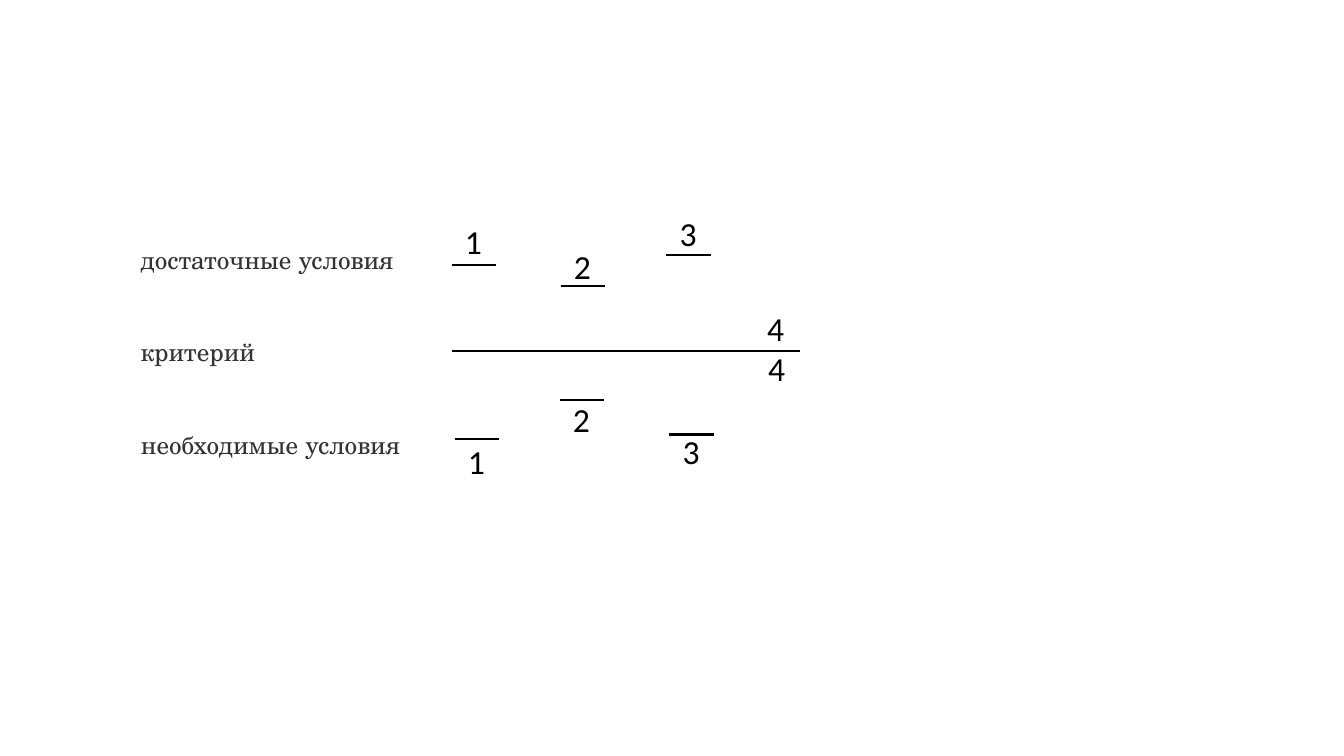
from pptx import Presentation as Deck
from pptx.dml.color import RGBColor as Rgb
from pptx.enum.shapes import MSO_CONNECTOR as Link
from pptx.enum.text import MSO_AUTO_SIZE as Fit
from pptx.util import Inches, Pt
from lxml.etree import SubElement as Sub

WIDE, HIGH = Inches(13.33), Inches(7.5)
HUES = {"ink": "000000", "label": "333333"}
DIGIT = {"name": "Calibri", "size": Pt(24)}
LABEL = {"name": "TeX Gyre Schola", "size": Pt(18)}
FRAME = {"word_wrap": False, "auto_size": Fit.SHAPE_TO_FIT_TEXT}
NS = "{http://schemas.openxmlformats.org/drawingml/2006/main}"

# All lengths are percent of the slide's width (x) or height (y)
DASH = 3.3
INSET = 0.24
CELL = (2.78, 6.67)

# Condition: number, dash left, dash height, number top
MARKS = [
    ("2", 41.64, 52.93, 52.13),
    ("3", 49.59, 33.73, 27.47),
    ("3", 49.81, 57.47, 56.4),
    ("1", 33.83, 58.13, 57.6),
    ("2", 41.71, 37.87, 31.87),
    ("1", 33.61, 35.07, 28.53),
]
ROWS = [
    ("достаточные условия", 20.63),
    ("критерий", 10.2),
    ("необходимые условия", 21.31),
]


def across(share):
    return round(WIDE * share / 100)


def down(share):
    return round(HIGH * share / 100)


def apply(item, style):
    for key, value in style.items():
        setattr(item, key, value)


def rule(shapes, x, y, width):
    line = shapes.add_connector(
        Link.STRAIGHT, across(x), down(y), across(x + width), down(y))
    line.line.color.rgb = Rgb.from_string(HUES["ink"])
    line.line.width = Pt(1.5)
    Sub(line._element.spPr, NS + "effectLst")


def text(shapes, words, x, y, width, height, style, hue):
    box = shapes.add_textbox(across(x), down(y), across(width), down(height))
    apply(box.text_frame, FRAME)
    run = box.text_frame.paragraphs[0].add_run()
    run.text = words
    apply(run.font, style)
    run.font.color.rgb = Rgb.from_string(HUES[hue])


def mark(shapes, digit, x, y, top):
    group = shapes.add_group_shape().shapes
    rule(group, x, y, DASH)
    text(group, digit, x + INSET, top, *CELL, DIGIT, "ink")


def main():
    deck = Deck()
    deck.slide_width, deck.slide_height = WIDE, HIGH
    shapes = deck.slides.add_slide(deck.slide_layouts[6]).shapes

    # Criterion line, with the conditions above and below it
    rule(shapes, 33.61, 46.4, 25.88)
    for item in MARKS:
        mark(shapes, *item)

    # The criterion's number on both sides of its line
    for x, y in [(56.34, 40.13), (56.41, 45.33)]:
        text(shapes, "4", x, y, *CELL, DIGIT, "ink")

    # Row labels
    for row, (words, width) in enumerate(ROWS):
        text(shapes, words, 9.75, 31.6 + 12.27 * row, width, 5.33,
             LABEL, "label")

    deck.save("out.pptx")


if __name__ == "__main__":
    main()
